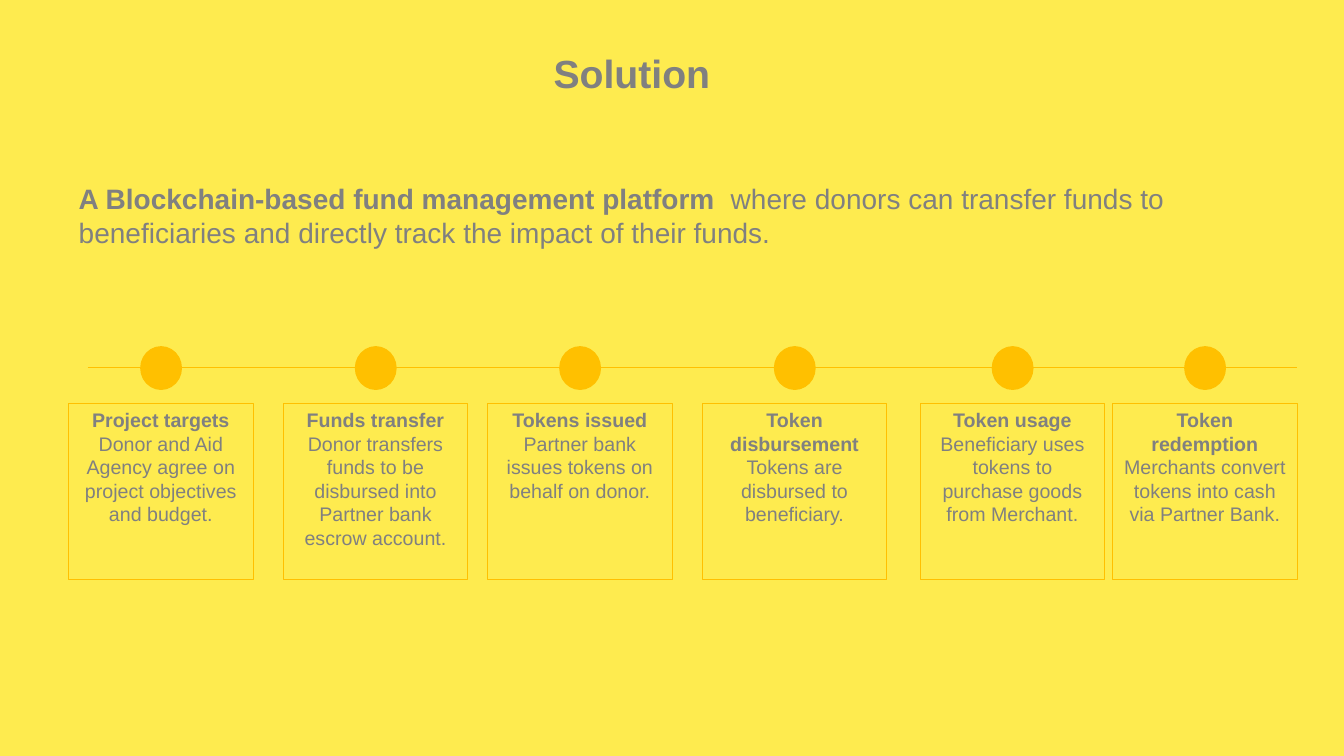
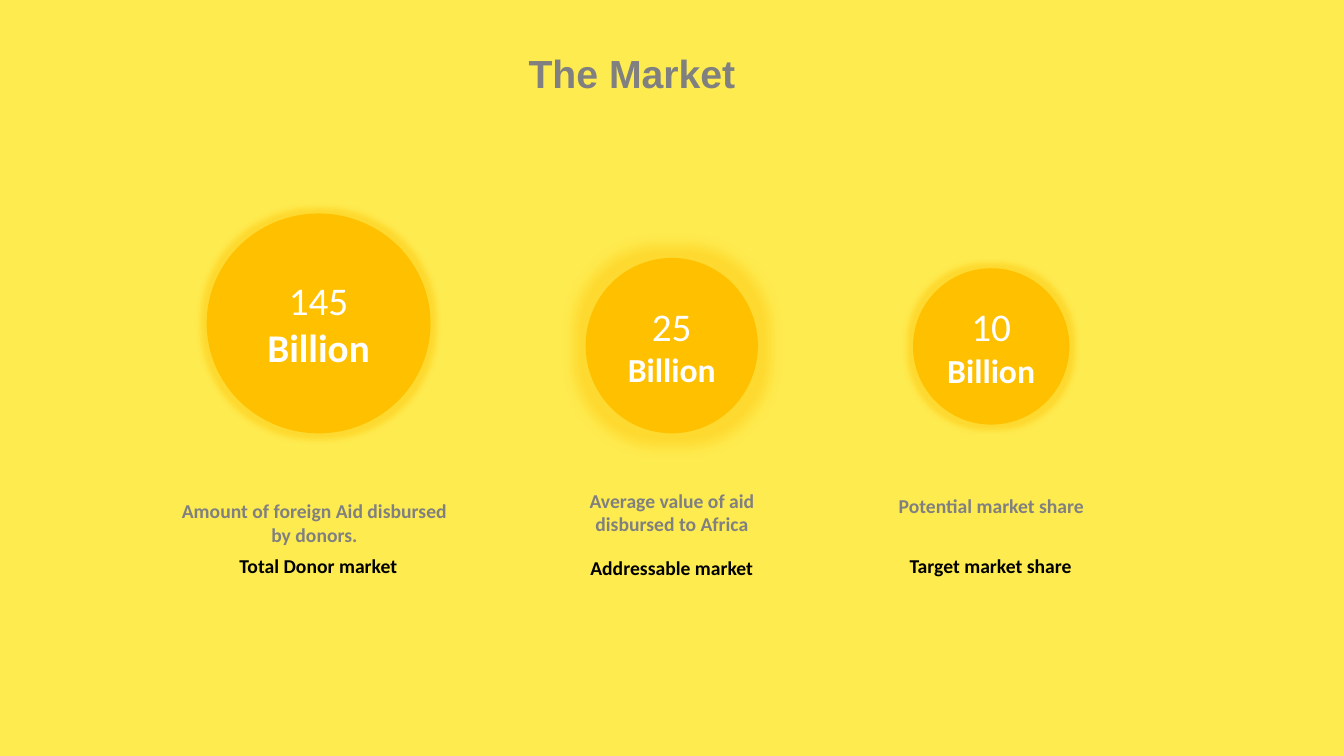
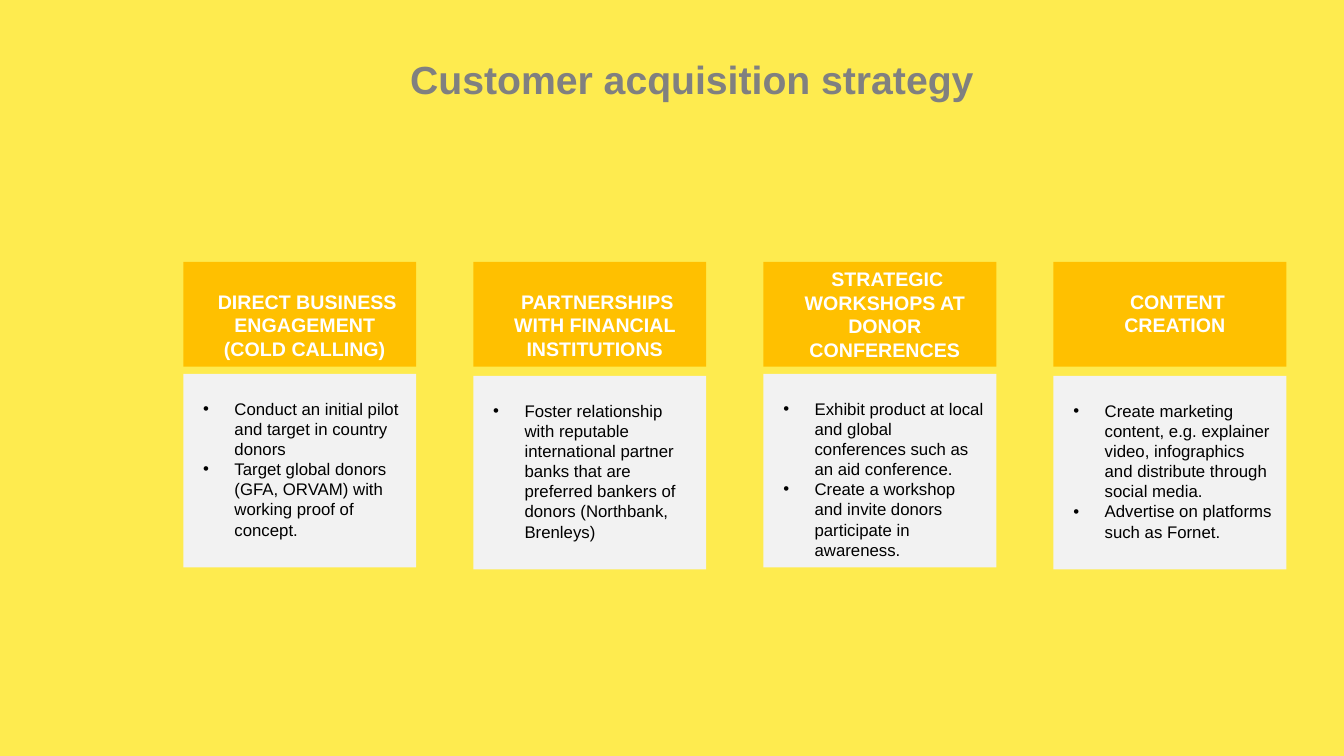
from lxml import etree
from pptx import Presentation, util as u
from pptx.dml.color import RGBColor
from pptx.enum import shapes, text
from pptx.oxml.ns import qn

Cm, Pt = u.Cm, u.Pt
COLOURS = {"back": "FEEB4F", "accent": "FFC000", "grey": "808080",
           "panel": "F2F2F2", "white": "FFFFFF", "black": "000000"}
COLOURS = {name: RGBColor.from_string(value) for name, value in COLOURS.items()}
CENTRE, LEFT = text.PP_ALIGN.CENTER, text.PP_ALIGN.LEFT
TOP, MIDDLE = text.MSO_ANCHOR.TOP, text.MSO_ANCHOR.MIDDLE


def write(box, paragraphs, colour="grey", align=CENTRE, anchor=TOP, **base):
    """Fill a box; each paragraph is a list of (wording, font changes)."""
    frame = box.text_frame
    settings = {"word_wrap": True, "auto_size": text.MSO_AUTO_SIZE.NONE,
                "vertical_anchor": anchor}
    for name, value in settings.items():
        setattr(frame, name, value)
    for index, spans in enumerate(paragraphs):
        para = frame.add_paragraph() if index else frame.paragraphs[0]
        para.alignment, para.space_before = align, Pt(0)
        for wording, changes in spans:
            span = para.add_run()
            span.text = wording
            span.font.color.rgb = COLOURS[colour]
            for name, value in {"name": "Arial", "bold": False, **base, **changes}.items():
                setattr(span.font, name, value)
    return frame


def add_box(page, kind, place, fill=None, line=None):
    """Add a flat shape; line is a width in points."""
    box = page.shapes.add_shape(kind, *map(Cm, place))
    box.shadow.inherit = False
    if fill:
        box.fill.solid()
        box.fill.fore_color.rgb = COLOURS[fill]
    else:
        box.fill.background()
    if line:
        box.line.color.rgb, box.line.width = COLOURS["accent"], Pt(line)
    else:
        box.line.fill.background()
    return box


RECTANGLE, OVAL = shapes.MSO_SHAPE.RECTANGLE, shapes.MSO_SHAPE.OVAL
BOLD = {"bold": True}

# Deck, shared background and titles
deck = Presentation()
deck.slide_width, deck.slide_height = Cm(33.87), Cm(19.05)
background = deck.slide_master.background.fill
background.solid()
background.fore_color.rgb = COLOURS["back"]

pages = []
for heading, layout, place in [
    ("Solution", 1, (12.32, 1.12, 7.21, 1.45)),
    ("The Market", 5, (12.32, 1.12, 7.21, 1.45)),
    ("Customer acquisition strategy", 5, (8.53, 1.27, 17.81, 1.45)),
]:
    page = deck.slides.add_slide(deck.slide_layouts[layout])
    title = page.shapes.title
    title.left, title.top, title.width, title.height = map(Cm, place)
    write(title, [[(heading, BOLD)]], size=Pt(28))
    pages.append(page)
solution, market, strategy = pages

# Solution: introduction
intro = solution.placeholders[1]
intro.left, intro.top, intro.width, intro.height = map(Cm, (1.73, 4.45, 31.22, 1.96))
frame = write(intro, [[
    ("A Blockchain-based fund management platform ", BOLD),
    (" where donors can transfer funds to beneficiaries and directly track "
     "the impact of their funds.", {})]], align=LEFT, size=Pt(20))
props = frame.paragraphs[0]._p.get_or_add_pPr()
props.set("marL", "0")
props.set("indent", "0")
etree.SubElement(props, qn("a:buNone"))

# Solution: timeline
axis = solution.shapes.add_connector(
    shapes.MSO_CONNECTOR.STRAIGHT, Cm(2.21), Cm(9.25), Cm(32.69), Cm(9.25))
axis.line.color.rgb, axis.line.width = COLOURS["accent"], Pt(0.5)
etree.SubElement(axis._element.spPr, qn("a:effectLst"))

for left, step, detail in [
    (1.73, "Project targets", "Donor and Aid Agency agree on project objectives and budget."),
    (7.14, "Funds transfer",
     "Donor transfers funds to be disbursed into Partner bank escrow account."),
    (12.29, "Tokens issued", "Partner bank issues tokens on behalf on donor."),
    (17.7, "Token disbursement", "Tokens are disbursed to beneficiary."),
    (23.19, "Token usage", "Beneficiary uses tokens to purchase goods from Merchant."),
    (28.04, "Token redemption", "Merchants convert tokens into cash via Partner Bank."),
]:
    add_box(solution, OVAL, (left + 1.82, 8.74, 1.02, 1.07), "accent", 1)
    card = add_box(solution, RECTANGLE, (left, 10.16, 4.65, 4.45), line=0.75)
    write(card, [[(step, BOLD)], [(detail, {})]], size=Pt(14))

# Market: glowing circles
for place, glow_size, amount, unit_size in [
    ((5.21, 5.38, 5.64, 5.54), 8, "145", 28),
    ((14.76, 6.5, 4.34, 4.42), 18, "25", 24),
    ((23.01, 6.76, 3.94, 3.94), 8, "10", 24),
]:
    circle = add_box(market, OVAL, place, "accent")
    effects = circle._element.spPr.find(qn("a:effectLst"))
    glow = etree.SubElement(effects, qn("a:glow"), rad=str(Pt(glow_size)))
    tint = etree.SubElement(glow, qn("a:srgbClr"), val=str(COLOURS["accent"]))
    etree.SubElement(tint, qn("a:alpha"), val="40000")
    write(circle, [[(amount, {})], [("Billion", {"bold": True, "size": Pt(unit_size)})]],
          "white", anchor=MIDDLE, name="Calibri", size=Pt(28))

# Market: captions and labels
for place, wording, colour in [
    ((4.32, 12.45, 7.21, 1.45), "Amount of foreign Aid disbursed by donors.", "grey"),
    ((13.72, 12.19, 6.43, 1.45), "Average value of aid disbursed to Africa", "grey"),
    ((22.33, 12.32, 5.31, 0.86), "Potential market share", "grey"),
    ((4.42, 13.84, 7.21, 0.86), "Total Donor market", "black"),
    ((14.15, 13.89, 5.56, 0.86), "Addressable market", "black"),
    ((21.36, 13.84, 7.21, 0.86), "Target market share", "black"),
]:
    caption = market.shapes.add_textbox(*map(Cm, place))
    write(caption, [[(wording, BOLD)]], colour, name="Calibri", size=Pt(14))

# Strategy: four columns of header and list
columns = [
    ("DIRECT BUSINESS ENGAGEMENT (COLD CALLING)", 0.7, 9.42,
     ["Conduct an initial pilot and target in country donors",
      "Target global donors (GFA, ORVAM) with working proof of concept."]),
    ("PARTNERSHIPS WITH FINANCIAL INSTITUTIONS", 0.7, 9.47,
     ["Foster relationship with reputable international partner banks that are "
      "preferred bankers of donors (Northbank, Brenleys)"]),
    ("STRATEGIC WORKSHOPS AT DONOR CONFERENCES", 0.13, 9.42,
     ["Exhibit product at local and global conferences such as an aid conference.",
      "Create a workshop and invite donors participate in awareness."]),
    ("CONTENT CREATION", 0.7, 9.47,
     ["Create marketing content, e.g. explainer video, infographics and distribute "
      "through social media.",
      "Advertise on platforms such as Fornet."]),
]
for index, (heading, header_inset, panel_top, points) in enumerate(columns):
    left = 4.62 + 7.31 * index
    header = add_box(strategy, RECTANGLE, (left, 6.6, 5.87, 2.64), "accent")
    frame = write(header, [[(heading, BOLD)]], "white", size=Pt(14))
    frame.margin_top = Cm(header_inset)
    props = frame.paragraphs[0]._p.get_or_add_pPr()
    props.set("marL", str(Cm(0.25)))
    props.set("indent", str(Cm(0.13)))

    panel = add_box(strategy, RECTANGLE, (left, panel_top, 5.87, 4.88), "panel")
    frame = write(panel, [[(point, {})] for point in points], "black", LEFT, size=Pt(12))
    frame.margin_top = Cm(0.62)
    for para in frame.paragraphs:
        props = para._p.get_or_add_pPr()
        props.set("marL", str(Cm(1.04)))
        props.set("indent", str(Cm(-0.79)))
        etree.SubElement(props, qn("a:buFont"), typeface="Arial")
        etree.SubElement(props, qn("a:buChar"), char="•")

deck.save("out.pptx")
